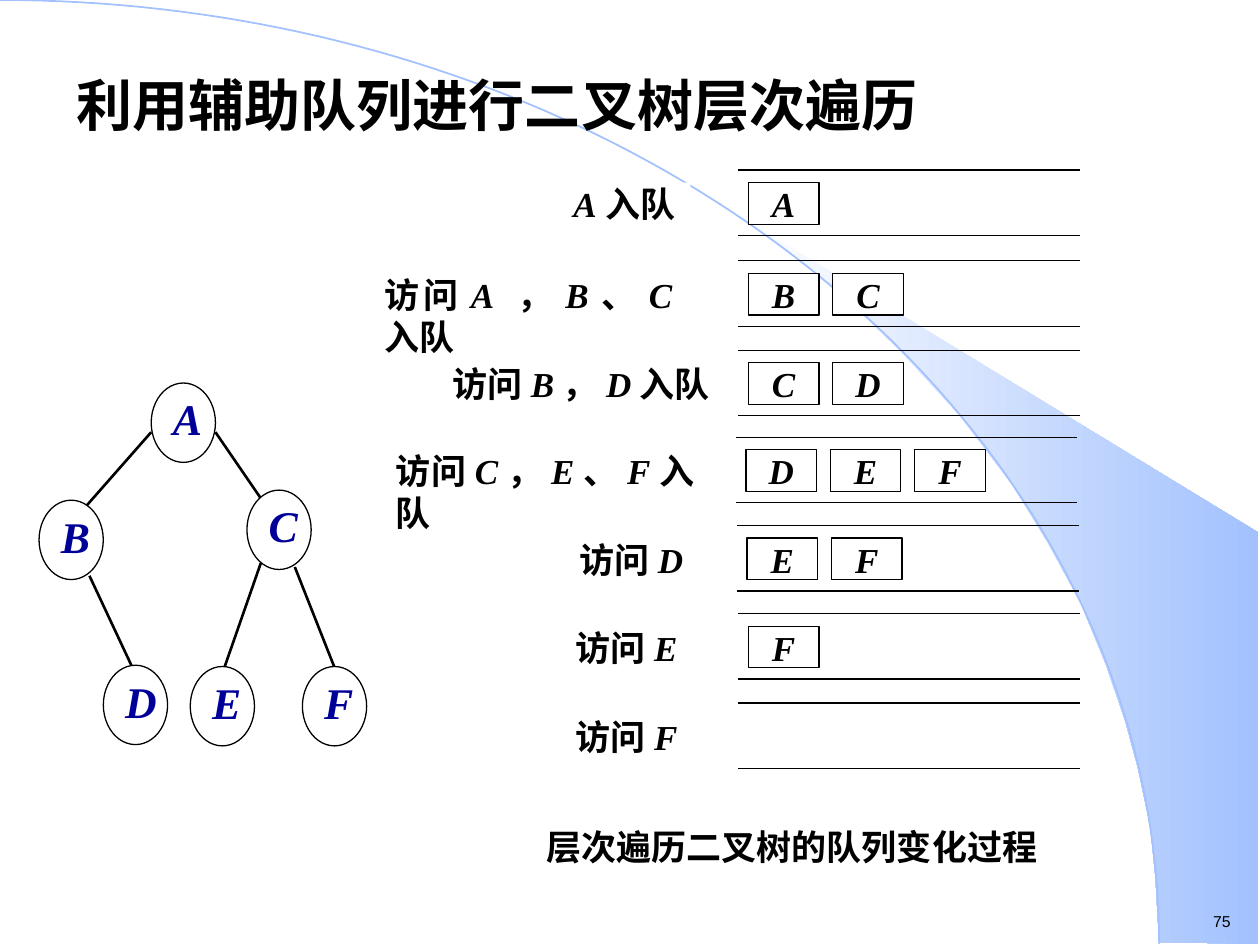
from itertools import groupby
from math import cos, pi, sin

from lxml import etree
from pptx import Presentation
from pptx.dml.color import RGBColor
from pptx.enum.shapes import MSO_CONNECTOR, MSO_SHAPE
from pptx.enum.text import MSO_ANCHOR, MSO_AUTO_SIZE, PP_ALIGN
from pptx.oxml.ns import qn
from pptx.util import Inches, Pt

LINE = MSO_CONNECTOR.STRAIGHT
RECT, OVAL = MSO_SHAPE.RECTANGLE, MSO_SHAPE.OVAL
TOP, NO_FIT = MSO_ANCHOR.TOP, MSO_AUTO_SIZE.NONE
LEFT, CENTER, JUSTIFY = PP_ALIGN.LEFT, PP_ALIGN.CENTER, PP_ALIGN.JUSTIFY
SERIF, SANS = "Times New Roman", "Arial"
BLACK, WHITE, NAVY, SKY = "000000", "FFFFFF", "000099", "A2C1FE"

ROW_H, CELL_W, CELL_H, CELL_STEP = 0.52, 0.56, 0.33, 0.67
NODE_W, NODE_H = 0.51, 0.63

QUEUES = [
    (5.86, 1.35, "A入队", 4.43, 1.05, 0, CENTER, "A"),
    (5.86, 2.07, "访问A ，B、C入队", 2.95, 2.55, 0.1, JUSTIFY, "BC"),
    (5.86, 2.78, "访问B，D入队", 3.59, 2.08, 0, JUSTIFY, "CD"),
    (5.84, 3.47, "访问C，E、F入队", 3.14, 2.37, 0, JUSTIFY, "DEF"),
    (5.85, 4.17, "访问D", 4.5, 1.09, 0.1, JUSTIFY, "EF"),
    (5.86, 4.87, "访问E", 4.47, 1.01, 0.1, JUSTIFY, "F"),
    (5.86, 5.58, "访问F", 4.47, 1.12, 0.1, JUSTIFY, ""),
]
NODES = {"A": (0.89, 0), "B": (0, 0.93), "C": (1.65, 0.85),
         "D": (0.51, 2.24), "E": (1.2, 2.25), "F": (2.09, 2.25)}
EDGES = [(0.89, 0.39, 0.38, 0.97), (1.4, 0.39, 1.77, 0.93),
         (0.4, 1.53, 0.77, 2.32), (1.76, 1.43, 1.46, 2.29),
         (2.03, 1.46, 2.35, 2.27)]
WEDGE = [(9.2, 7.48), (9.99, 7.49), (9.99, 4.23), (5.89, 1.73), (6.24, 1.99),
         (6.53, 2.22), (6.85, 2.5), (7.16, 2.8), (7.62, 3.3), (8.03, 3.84),
         (8.32, 4.31), (8.58, 4.79), (8.78, 5.28), (8.93, 5.72), (9.03, 6.09),
         (9.13, 6.56), (9.17, 6.96)]


def color(value):
    return RGBColor.from_string(value)


def add_run(p, text, size, font=SERIF, fill=BLACK, bold=True, italic=False):
    r = p.add_run()
    r.text = text
    r.font.name, r.font.size = font, Pt(size)
    r.font.bold, r.font.italic = bold, italic
    r.font.color.rgb = color(fill)


def add_label(s, kind, box, text, align=CENTER, size=20, fill=BLACK,
              outline=True, inset=(0, 0)):
    sp = s.shapes.add_shape(kind, *map(Inches, box))
    sp.shadow.inherit = False
    sp.fill.solid()
    sp.fill.fore_color.rgb = color(WHITE)
    if outline:
        sp.line.color.rgb = color(BLACK)
        sp.line.width = Pt(0.75)
    else:
        sp.line.fill.background()
    tf = sp.text_frame
    tf.word_wrap, tf.vertical_anchor = True, TOP
    tf.margin_left = tf.margin_right = Inches(inset[0])
    tf.margin_top = tf.margin_bottom = Inches(inset[1])
    p = tf.paragraphs[0]
    p.alignment = align
    for latin, part in groupby(text, str.isascii):
        add_run(p, "".join(part), size, fill=fill, italic=latin)
    return p


def add_line(s, x1, y1, x2, y2, width):
    c = s.shapes.add_connector(LINE, *map(Inches, (x1, y1, x2, y2)))
    c.line.color.rgb = color(BLACK)
    c.line.width = Pt(width)
    etree.SubElement(c.element.spPr, qn("a:effectLst"))


def add_outline(s, points, close):
    pts = [(Inches(x), Inches(y)) for x, y in points]
    fb = s.shapes.build_freeform(*pts[0])
    fb.add_line_segments(pts[1:], close=close)
    sp = fb.convert_to_shape()
    sp.shadow.inherit = False
    return sp


def add_backdrop(s, w, h):
    wedge = add_outline(s, WEDGE, True)
    wedge.fill.gradient()
    wedge.fill.gradient_angle = 0
    for stop, value in zip(wedge.fill.gradient_stops, (WHITE, SKY)):
        stop.color.rgb = color(value)
    wedge.line.fill.background()
    steps = 90
    angles = [pi / 2 * i / steps for i in range(steps + 1)]
    arc = add_outline(s, [(w * sin(a), h * (1 - cos(a))) for a in angles], False)
    arc.fill.background()
    arc.line.color.rgb = color(SKY)
    arc.line.width = Pt(1)


def add_title(s, x, y, w, h):
    sp = s.shapes.title
    sp.element.getparent().append(sp.element)
    sp.left, sp.top, sp.width, sp.height = map(Inches, (x, y, w, h))
    tf = sp.text_frame
    tf.vertical_anchor, tf.auto_size = TOP, NO_FIT
    p = tf.paragraphs[0]
    p.alignment, p.line_spacing = LEFT, 1.2
    add_run(p, "利用辅助队列进行二叉树层次遍历", 32)


def add_page_number(s, x, y, w, h):
    tf = s.shapes.add_textbox(*map(Inches, (x, y, w, h))).text_frame
    tf.word_wrap = False
    add_run(tf.paragraphs[0], "75", 9, font=SANS, bold=False)


def add_queue(s, x, y, w, label, label_x, label_w, inset, align, cells):
    add_label(s, RECT, (label_x, y + 0.1, label_w, 0.4), label, align,
              outline=False, inset=(inset, 0))
    for line_y in (y, y + ROW_H):
        add_line(s, x, line_y, x + w, line_y, 0.75)
    for i, name in enumerate(cells):
        box = (x + 0.08 + i * CELL_STEP, y + 0.1, CELL_W, CELL_H)
        add_label(s, RECT, box, name)


def add_tree(s, x, y):
    for x1, y1, x2, y2 in EDGES:
        add_line(s, x + x1, y + y1, x + x2, y + y2, 1.5)
    for name, (dx, dy) in NODES.items():
        p = add_label(s, OVAL, (x + dx, y + dy, NODE_W, NODE_H), name,
                      size=25, fill=NAVY, inset=(0.1, 0.05))
        p.line_spacing = Pt(25)


def main():
    prs = Presentation()
    prs.slide_width, prs.slide_height = Inches(10), Inches(7.5)
    s = prs.slides.add_slide(prs.slide_layouts[5])
    add_backdrop(s, 9.2, 7.49)
    add_page_number(s, 9.53, 7.19, 0.35, 0.25)
    add_title(s, 0.51, 0.4, 8.98, 0.83)
    add_label(s, RECT, (4.21, 6.55, 4.15, 0.39),
              "层次遍历二叉树的队列变化过程", outline=False)
    for x, y, *row in QUEUES:
        add_queue(s, x, y, 2.71, *row)
    add_tree(s, 0.31, 3.04)
    prs.save("out.pptx")


if __name__ == "__main__":
    main()
